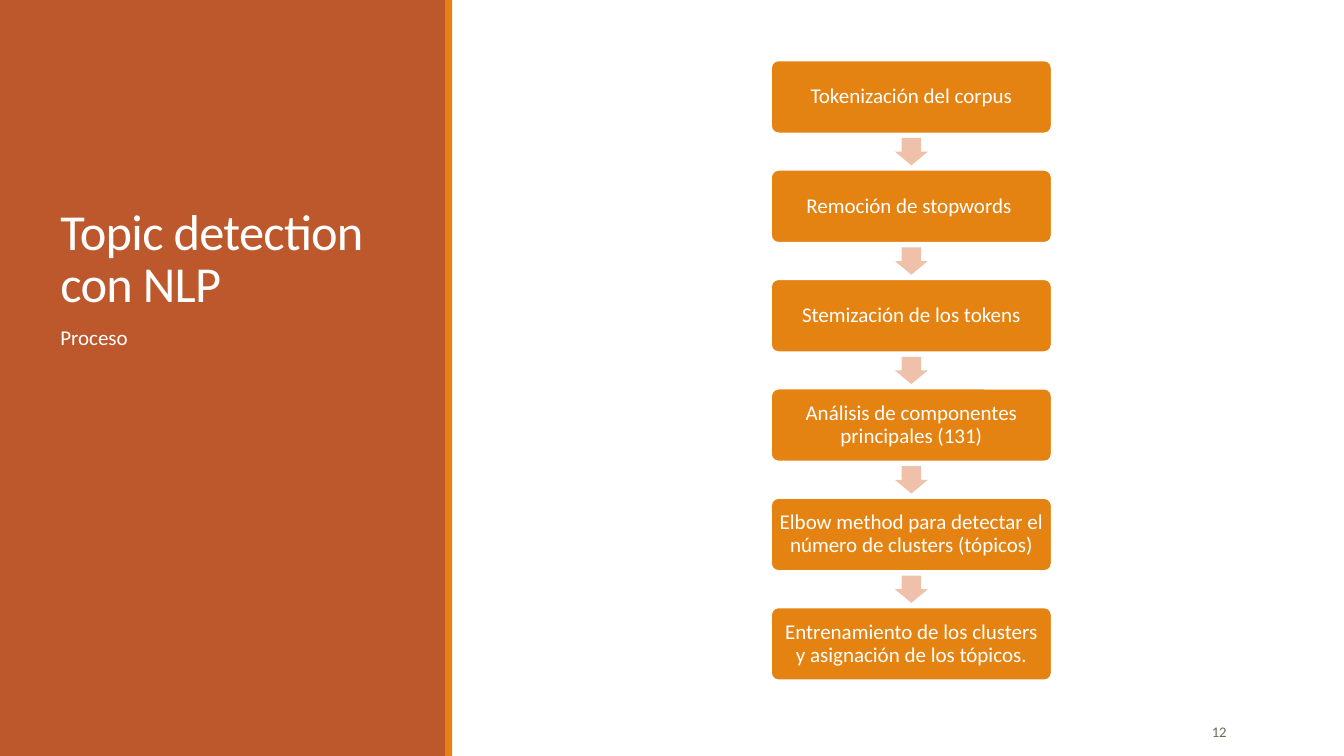
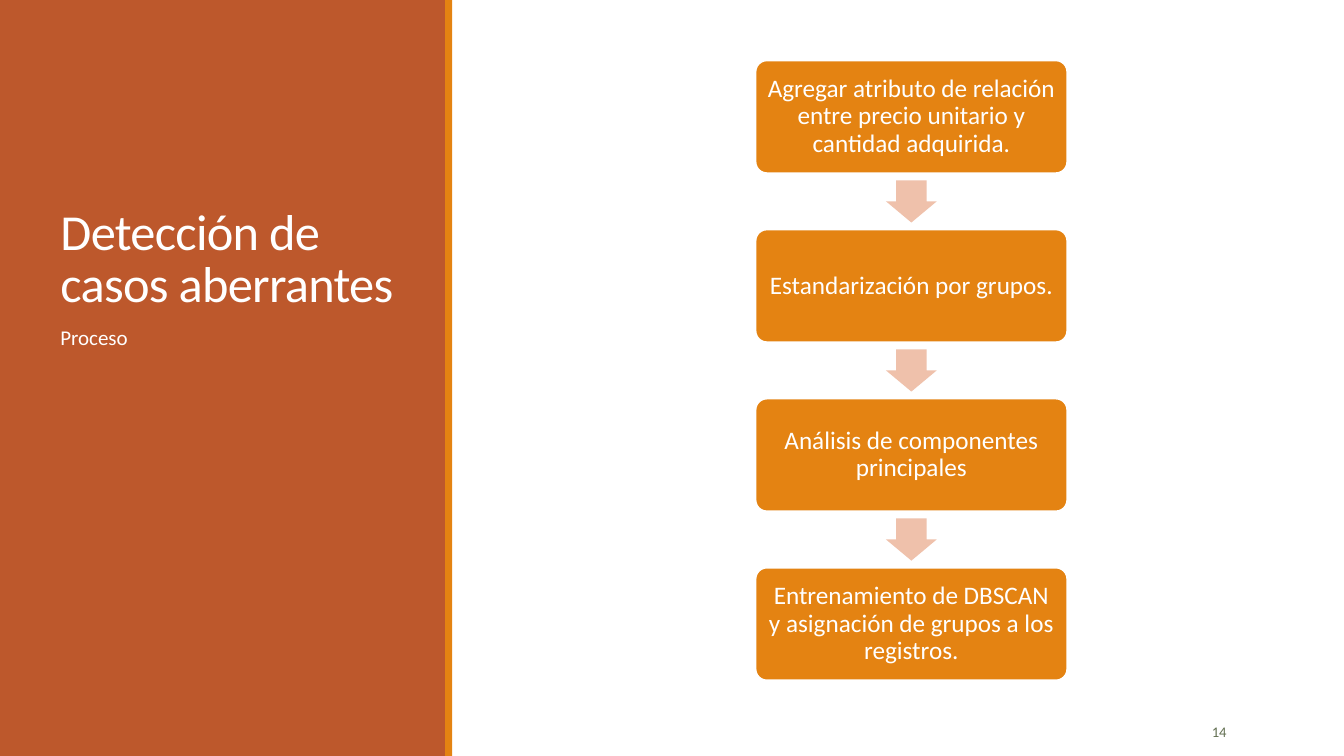
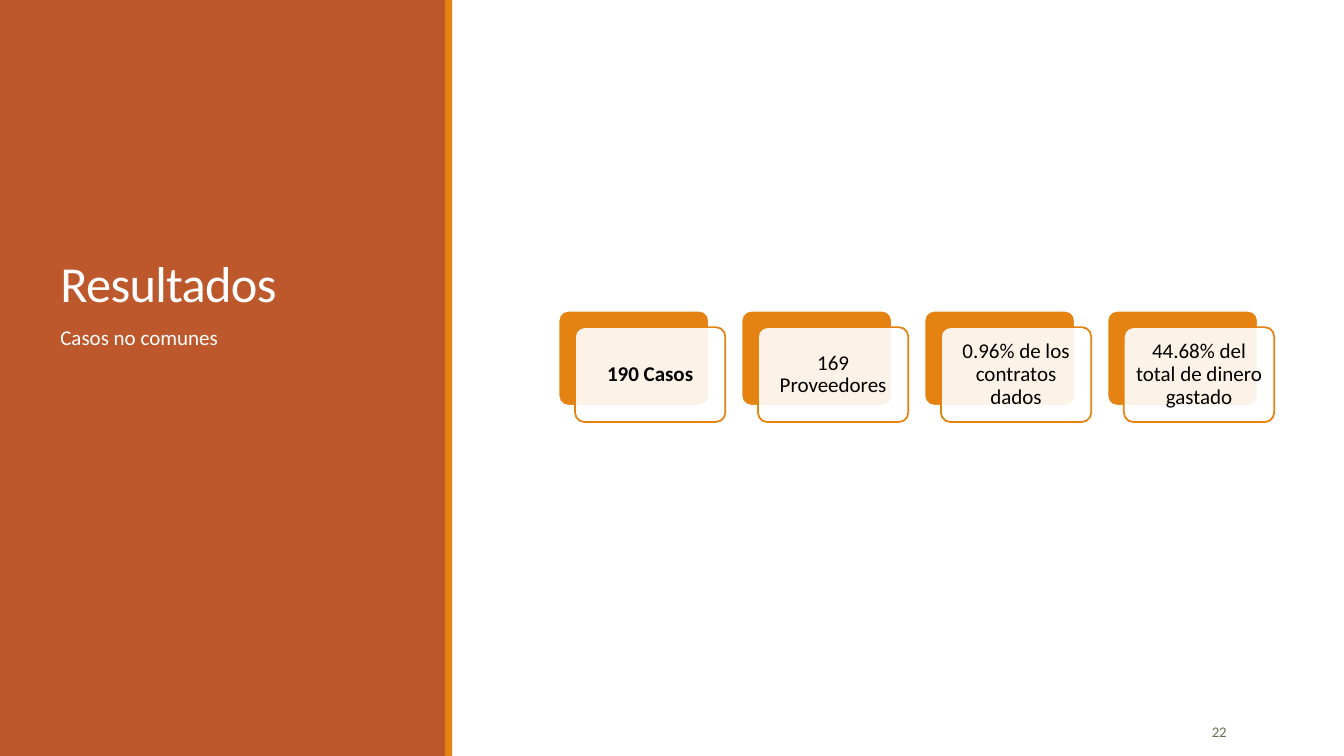
"""Build three slides with a side panel: two process flows and a row of result cards."""
import dataclasses

import lxml.etree
import pptx
import pptx.util
from pptx.dml.color import RGBColor
from pptx.enum.shapes import MSO_SHAPE
from pptx.enum.text import MSO_ANCHOR, MSO_AUTO_SIZE, PP_ALIGN
from pptx.oxml.ns import qn


@dataclasses.dataclass(frozen=True)
class Theme:
    font: str = "Calibri"
    panel: str = "BD582C"
    accent: str = "E48312"
    arrow: str = "EFC1AB"
    white: str = "FFFFFF"
    black: str = "000000"
    page: str = "637052"
    title_pt: float = 36
    text_pt: float = 15
    large_pt: float = 18
    page_pt: float = 10.5
    line_pt: float = 1.25


T = Theme()
prs = pptx.Presentation()
prs.slide_width, prs.slide_height = pptx.util.Inches(40 / 3), pptx.util.Inches(7.5)
COLS, ROWS = 160, 90
U = prs.slide_width / COLS


def add_box(s, kind, x, y, w, h, fill, line=None):
    sp = s.shapes.add_shape(kind, *(round(v * U) for v in (x, y, w, h)))
    sp.shadow.inherit = False
    sp.fill.solid()
    sp.fill.fore_color.rgb = RGBColor.from_string(fill)
    if line:
        sp.line.color.rgb = RGBColor.from_string(line)
        sp.line.width = pptx.util.Pt(T.line_pt)
    else:
        sp.line.fill.background()
    if kind == MSO_SHAPE.ROUNDED_RECTANGLE:
        sp.adjustments[0] = 0.1
    return sp


def write(sp, text, size, color, align=PP_ALIGN.LEFT, anchor=MSO_ANCHOR.MIDDLE,
          spacing=0.9, inset=None, bold=False):
    tf = sp.text_frame
    tf.text = text
    tf.word_wrap = True
    tf.auto_size = MSO_AUTO_SIZE.NONE
    tf.vertical_anchor = anchor
    if inset:
        tf.margin_left = tf.margin_right = tf.margin_top = tf.margin_bottom = pptx.util.Inches(inset)
    p = tf.paragraphs[0]
    p.alignment = align
    p.line_spacing = spacing
    f = p.runs[0].font
    f.name, f.size, f.bold = T.font, pptx.util.Pt(size), bold
    f.color.rgb = RGBColor.from_string(color)
    return p


layout = prs.slide_layouts[5]
for ph in list(layout.placeholders):
    if ph.placeholder_format.idx:
        ph.element.getparent().remove(ph.element)

slides = []
for title, subtitle, page, title_cols in (
    ("Topic detection con NLP", "Proceso", "12", 42),
    ("Detección de casos aberrantes", "Proceso", "14", 43.4),
    ("Resultados", "Casos no comunes", "22", 42),
):
    s = prs.slides.add_slide(layout)
    slides.append(s)
    sp = s.shapes.title
    sp.left, sp.top, sp.width, sp.height = (round(v * U) for v in (6, 7.8, title_cols, 30))
    write(sp, title, T.title_pt, T.white, anchor=MSO_ANCHOR.BOTTOM, spacing=0.85)
    for rpr in sp.element.iter(qn("a:rPr")):
        rpr.set("spc", "-50")
    sp = s.shapes.add_textbox(*(round(v * U) for v in (6, 38.4, 42, 44.4)))
    p = write(sp, subtitle, T.text_pt, T.white, anchor=MSO_ANCHOR.TOP)
    p.space_before, p.space_after = pptx.util.Pt(12), pptx.util.Pt(2)
    sp = s.shapes.add_textbox(*(round(v * U) for v in (130, 84.7, 17.2, 4.8)))
    write(sp, page, T.page_pt, T.page, PP_ALIGN.RIGHT, spacing=1)

for i, (x, w, color) in enumerate(((0, 53.2, T.panel), (53, 0.85, T.accent))):
    band = add_box(slides[0], MSO_SHAPE.RECTANGLE, x, 0, w, ROWS, color)
    layout.shapes.element.insert(2 + i, band.element)

MID, TOP, BOTTOM = 108.5, 7.2, 81
for s, w, size, inset, steps in (
    (slides[0], 33.4, T.text_pt, 0.06, (
        "Tokenización del corpus",
        "Remoción de stopwords ",
        "Stemización de los tokens",
        "Análisis de componentes principales (131)",
        "Elbow method para detectar el número de clusters (tópicos)",
        "Entrenamiento de los clusters y asignación de los tópicos.",
    )),
    (slides[1], 37.1, T.large_pt, 0.07, (
        "Agregar atributo de relación entre precio unitario y cantidad adquirida.",
        "Estandarización por grupos.",
        "Análisis de componentes principales",
        "Entrenamiento de DBSCAN y asignación de grupos a los registros.",
    )),
):
    h = (BOTTOM - TOP) / (1.5 * len(steps) - 0.5)
    aw, ah = 0.45 * h, 0.375 * h
    for i, step in enumerate(steps):
        y = TOP + 1.5 * h * i
        if i:
            arrow = add_box(s, MSO_SHAPE.DOWN_ARROW, MID - aw / 2, y - h / 4 - ah / 2, aw, ah, T.arrow)
            arrow.adjustments[0], arrow.adjustments[1] = 0.6, 0.5
        sp = add_box(s, MSO_SHAPE.ROUNDED_RECTANGLE, MID - w / 2, y, w, h, T.accent, T.white)
        write(sp, step, size, T.white, PP_ALIGN.CENTER, inset=inset)

LEFT, CARD_TOP, PITCH, CARD_W, CARD_H, SHIFT = 66.5, 37, 21.78, 17.9, 11.3, 1.95
for i, result in enumerate((
    "190 Casos",
    "169 Proveedores",
    "0.96% de los contratos dados",
    "44.68% del total de dinero gastado",
)):
    x = LEFT + PITCH * i
    add_box(slides[2], MSO_SHAPE.ROUNDED_RECTANGLE, x, CARD_TOP, CARD_W, CARD_H, T.accent, T.white)
    card = add_box(slides[2], MSO_SHAPE.ROUNDED_RECTANGLE, x + SHIFT, CARD_TOP + SHIFT,
                   CARD_W, CARD_H, T.white, T.accent)
    fill = next(card.element.iter(qn("a:srgbClr")))
    lxml.etree.SubElement(fill, qn("a:alpha")).set("val", "90000")
    write(card, result, T.text_pt, T.black, PP_ALIGN.CENTER, inset=0.06, bold=i == 0)

prs.save("out.pptx")
